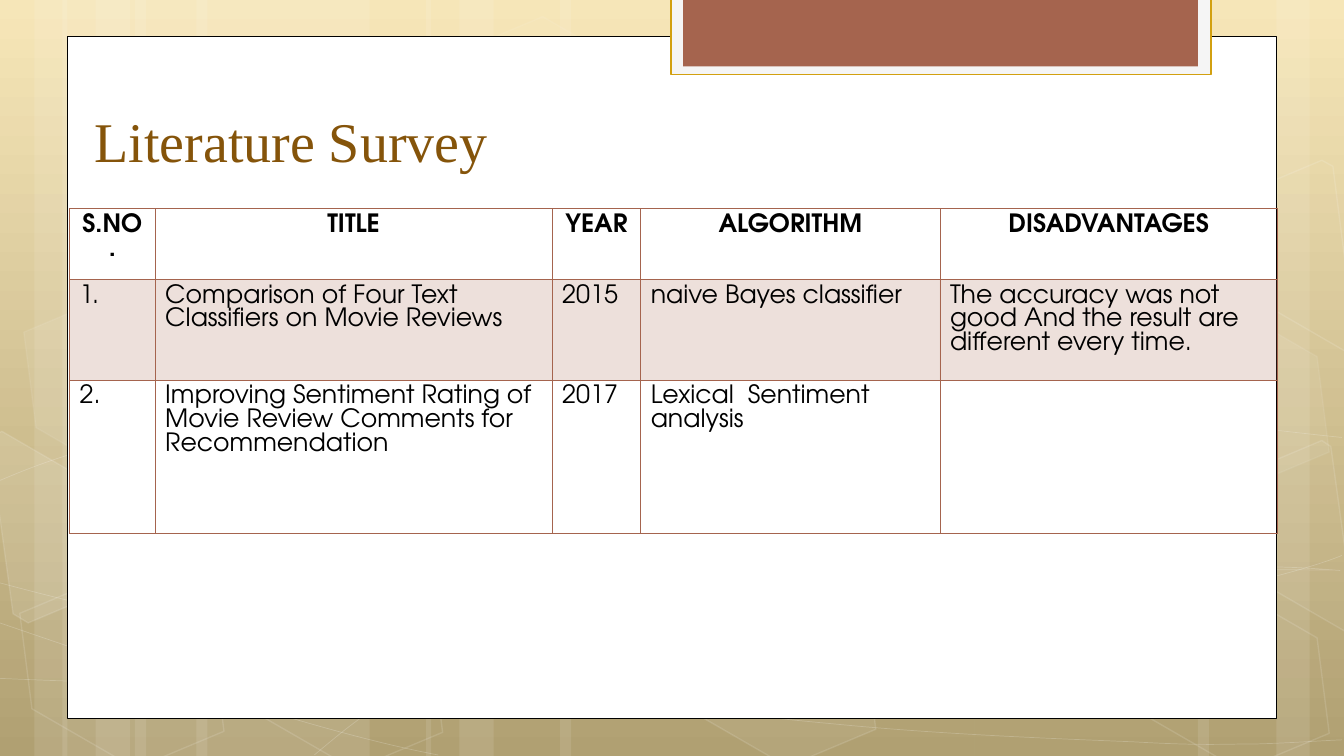
from collections import namedtuple

from lxml import etree
from pptx import Presentation, util as u
from pptx.dml.color import RGBColor
from pptx.enum import shapes, text
from pptx.oxml.ns import qn

Box = namedtuple("Box", "left top width height")
WHITE, RUST = "FFFFFF", "A5644E"
FONT = "TeX Gyre Adventor"
PAGE = Box(0, 0, 13.34, 7.5)

STRIPES = [(1.34, 2.33), (0, 0.67), (0.34, 1.11), (1.95, 2.33), (0.62, 0.67), (0.95, 1.11),
           (9.67, 2.33), (12.67, 0.67), (11.89, 1.11), (5.56, 4.11), (4.23, 0.67), (4.56, 1.11)]
CURVES = [
    [(-0.01, 6.73), (0.71, 6.76), (1.43, 6.79), (2.43, 6.78), (3.43, 6.77), (4.66, 6.75),
     (5.99, 6.65), (7.33, 6.55), (9.22, 6.36), (10.45, 6.17), (11.67, 5.98), (12.92, 5.68),
     (13.32, 5.51)],
    [(-0.01, 4.77), (0.37, 4.61), (0.75, 4.46), (1.51, 4.31), (2.27, 4.16), (3.34, 3.94),
     (4.52, 3.87), (5.71, 3.8), (7.14, 3.79), (8.61, 3.87), (10.08, 3.95), (12.52, 4.26),
     (13.32, 4.34)],
    [(-0.03, 6.17), (1.58, 6.72), (3.19, 7.27), (4.35, 7.49)],
    [(-0.01, 5.78), (0.4, 5.89), (0.82, 6), (1.6, 6.16), (2.37, 6.31), (3.53, 6.56),
     (4.64, 6.73), (5.76, 6.9), (7.16, 7.08), (8.26, 7.18), (9.37, 7.29), (10.55, 7.33),
     (11.26, 7.36), (11.96, 7.4), (12.15, 7.38), (12.49, 7.38), (12.83, 7.37), (13.08, 7.35),
     (13.32, 7.34)],
    [(3.12, 7.49), (3.36, 7.29), (3.59, 7.09), (3.92, 6.91), (4.24, 6.72), (4.69, 6.53),
     (5.06, 6.39), (5.43, 6.25), (5.66, 6.19), (6.15, 6.09), (6.64, 5.99), (7.54, 5.85),
     (8, 5.78), (8.47, 5.71), (8.54, 5.71), (8.96, 5.69), (9.37, 5.66), (10.02, 5.63),
     (10.48, 5.62), (10.94, 5.61), (11.71, 5.62), (11.71, 5.62), (12, 5.62), (12.3, 5.62),
     (12.59, 5.62), (12.84, 5.63), (13.06, 5.64), (13.18, 5.65), (13.3, 5.66), (13.26, 5.65),
     (13.3, 5.66)],
]
CURVES[4].pop(21)
HEXAGONS = [(4.35, 0.36, 4, 8), (6.51, 5.89, 6, 12), (0.04, 5.91, 0, 12), (0.08, 3.12, 7, 8),
            (2.21, 5.92, 0, 12), (11.01, 5.93, 0, 12), (11.01, 3.14, 7, 8)]
FRAGMENTS = [
    ([(-0.11, 4.34), (0.02, 4.28), (1.04, 4.87), (1.16, 5.81), (0.28, 6.18), (0.13, 6.09)], 10),
    ([(12.24, 4.74), (13.12, 4.37), (13.21, 4.43), (13.46, 6.25), (13.38, 6.28), (12.36, 5.69)], 4),
    ([(12.24, 1.96), (13.12, 1.59), (13.23, 1.65), (13.46, 3.46), (13.38, 3.5), (12.36, 2.91)], 0),
]
COLUMNS = [0.85, 3.94, 0.88, 2.97, 3.35]
ROWS = [0.7, 1, 1.52]
SURVEY = [
    ["S.NO.", "TITLE", "YEAR", "ALGORITHM", "DISADVANTAGES"],
    ["1.", "Comparison of Four Text Classifiers on Movie Reviews", "2015",
     "naive Bayes classifier",
     "The accuracy was not good And the result are different every time."],
    ["2.", "Improving Sentiment Rating of Movie Review Comments for Recommendation", "2017",
     "Lexical  Sentiment analysis", ""],
]


def colour(value):
    """Turn a hex string into a colour."""
    return RGBColor.from_string(value)


def fade(parent, route, percent):
    """Set the opacity of the colours found under an element."""
    for tint in parent.findall(route, {"a": "http://schemas.openxmlformats.org/drawingml/2006/main"}):
        etree.SubElement(tint, qn("a:alpha")).set("val", str(percent * 1000))


def paint(shape, fill=None, opacity=100, line=None, weight=1, line_opacity=100):
    """Give a shape its fill and outline without a shadow."""
    shape.shadow.inherit = False
    if fill and opacity:
        shape.fill.solid()
        shape.fill.fore_color.rgb = colour(fill)
        fade(shape.element.spPr, "a:solidFill/a:srgbClr", opacity)
    else:
        shape.fill.background()
    if line:
        shape.line.color.rgb = colour(line)
        shape.line.width = u.Pt(weight)
        fade(shape.element.spPr, "a:ln/a:solidFill/a:srgbClr", line_opacity)
    else:
        shape.line.fill.background()


def add_block(page, box, kind=shapes.MSO_SHAPE.RECTANGLE, **look):
    """Add a preset shape in a box."""
    shape = page.shapes.add_shape(kind, *map(u.Inches, box))
    paint(shape, **look)
    return shape


def add_outline(page, box, points, close, **look):
    """Add a freeform through points measured from the box corner."""
    spots = [(u.Inches(box.left + x), u.Inches(box.top + y)) for x, y in points]
    builder = page.shapes.build_freeform(*spots[0])
    builder.add_line_segments(spots[1:], close=close)
    shape = builder.convert_to_shape()
    paint(shape, **look)
    return shape


def bend(shape):
    """Turn each three line segments of a freeform into one cubic curve."""
    segments = list(shape.element.iter(qn("a:lnTo")))
    for first in range(0, len(segments), 3):
        curve = etree.Element(qn("a:cubicBezTo"))
        segments[first].addprevious(curve)
        for segment in segments[first:first + 3]:
            curve.append(segment[0])
            segment.getparent().remove(segment)


def write(frame, words, font=FONT, size=18, ink="000000", bold=False,
          align=text.PP_ALIGN.LEFT, spacing=None):
    """Write one formatted paragraph into a text frame."""
    para = frame.paragraphs[0]
    para.alignment = align
    para.line_spacing = spacing
    span = para.add_run()
    span.text = words
    span.font.name, span.font.size, span.font.bold = font, u.Pt(size), bold
    span.font.color.rgb = colour(ink)


def add_backdrop(page, box):
    """Draw the gradient, stripes, curves and hexagons."""
    fill = page.background.fill
    fill.gradient()
    fill.gradient_angle = 270
    for stop, tint in zip(fill.gradient_stops, ("F6E4B0", "A89663")):
        stop.color.rgb = colour(tint)
    for left, width in STRIPES:
        add_block(page, Box(box.left + left, box.top, width, box.height), fill=WHITE, opacity=10)
    for nodes in CURVES:
        bend(add_outline(page, box, nodes, False, line=WHITE, weight=0.5, line_opacity=20))
    for left, top, opacity, line_opacity in HEXAGONS:
        hexagon = add_block(page, Box(box.left + left, box.top + top, 2.34, 1.52),
                            shapes.MSO_SHAPE.HEXAGON, fill=WHITE, opacity=opacity,
                            line=WHITE, line_opacity=line_opacity)
        hexagon.adjustments[0] = 0.38
        hexagon.rotation = 30
    for points, opacity in FRAGMENTS:
        add_outline(page, box, points, True, fill=WHITE, opacity=opacity, line=WHITE, line_opacity=12)


def add_panel(page, box):
    """Draw the white panel with the tab hanging over its top edge."""
    add_block(page, box, fill=WHITE, line="000000", weight=0.5)
    left, top = box.left + 5.99, box.top - 0.38
    add_block(page, Box(left, top, 5.36, 0.76), fill="F5F5F5", line="D2A010")
    add_block(page, Box(left + 0.12, top, 5.11, 0.68), fill=RUST)


def add_title(page, box):
    """Place the title above the panel."""
    title = page.shapes.title
    title.element.getparent().append(title.element)
    title.left, title.top, title.width, title.height = map(u.Inches, box)
    title.text_frame.vertical_anchor = text.MSO_ANCHOR.BOTTOM
    write(title.text_frame, "Literature Survey", font="Times New Roman", size=40, ink="85540A")


def add_border(cell, side, weight):
    """Draw one side of a cell."""
    line = etree.SubElement(cell._tc.get_or_add_tcPr(), qn(f"a:ln{side}"), w=str(u.Pt(weight)))
    fill = etree.SubElement(line, qn("a:solidFill"))
    etree.SubElement(fill, qn("a:srgbClr"), val=RUST)


def add_survey(page, box):
    """Build the table of surveyed papers."""
    table = page.shapes.add_table(len(ROWS), len(COLUMNS), *map(u.Inches, box)).table
    table.horz_banding = False
    for column, share in zip(table.columns, COLUMNS):
        column.width = u.Inches(box.width * share / sum(COLUMNS))
    for row, share in zip(table.rows, ROWS):
        row.height = u.Inches(box.height * share / sum(ROWS))
    for i, record in enumerate(SURVEY):
        for j, words in enumerate(record):
            cell = table.cell(i, j)
            for side in "LRTB":
                add_border(cell, side, 0.96 if (i, side) in ((0, "B"), (1, "T")) else 0.45)
            if i == 1:
                cell.fill.solid()
                cell.fill.fore_color.rgb = colour(RUST)
                fade(cell._tc.tcPr, "a:solidFill/a:srgbClr", 20)
            else:
                cell.fill.background()
            if words:
                write(cell.text_frame, words, bold=i == 0, spacing=u.Pt(16.9),
                      align=text.PP_ALIGN.LEFT if i else text.PP_ALIGN.CENTER)


def main():
    """Build the deck."""
    deck = Presentation()
    deck.slide_width, deck.slide_height = u.Inches(PAGE.width), u.Inches(PAGE.height)
    page = deck.slides.add_slide(deck.slide_layouts[5])
    add_backdrop(page, PAGE)
    add_panel(page, Box(0.67, 0.36, 12, 6.77))
    add_survey(page, Box(0.69, 2.07, 11.99, 3.22))
    add_title(page, Box(0.84, 0.52, 10.24, 1.25))
    deck.save("out.pptx")


if __name__ == "__main__":
    main()
